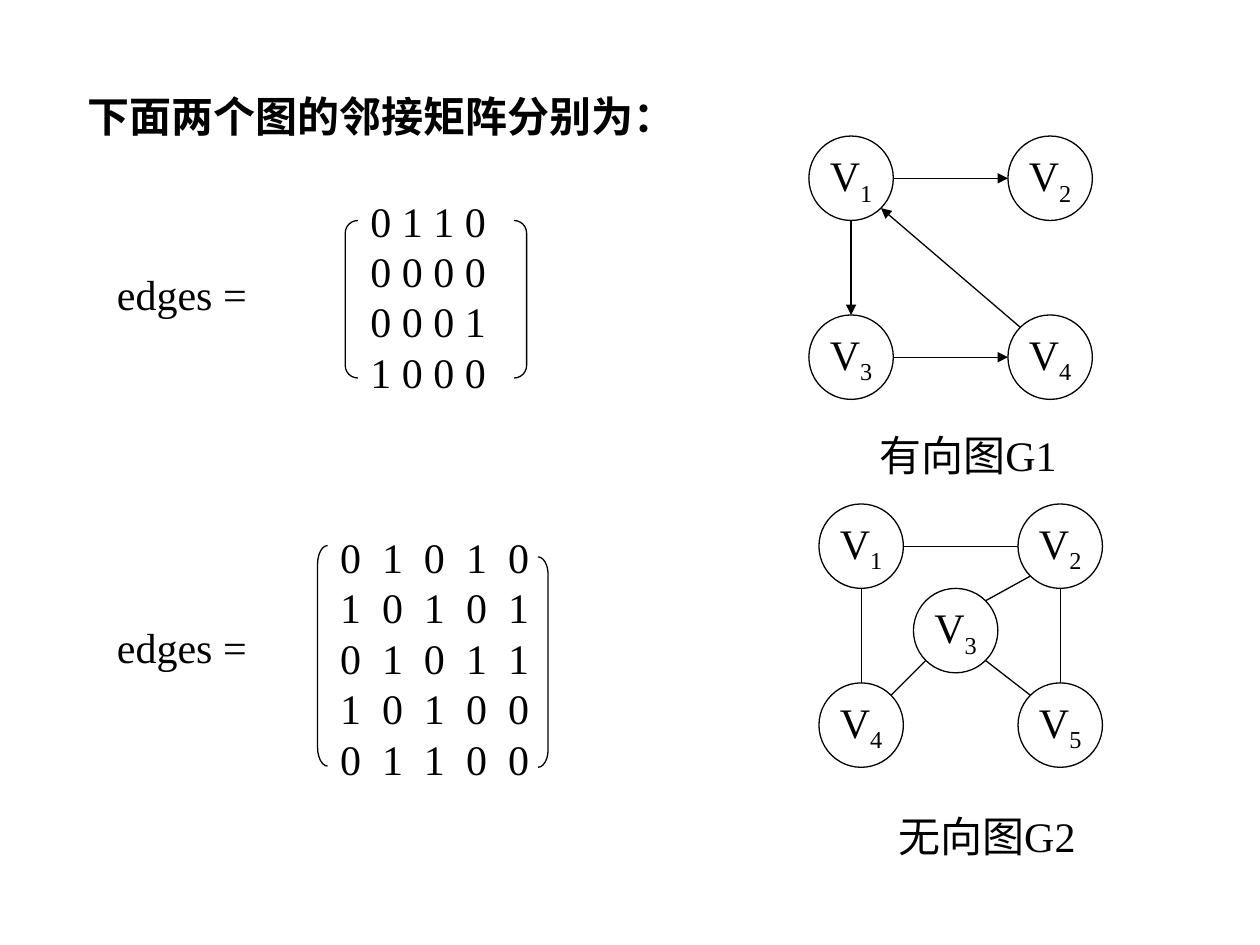
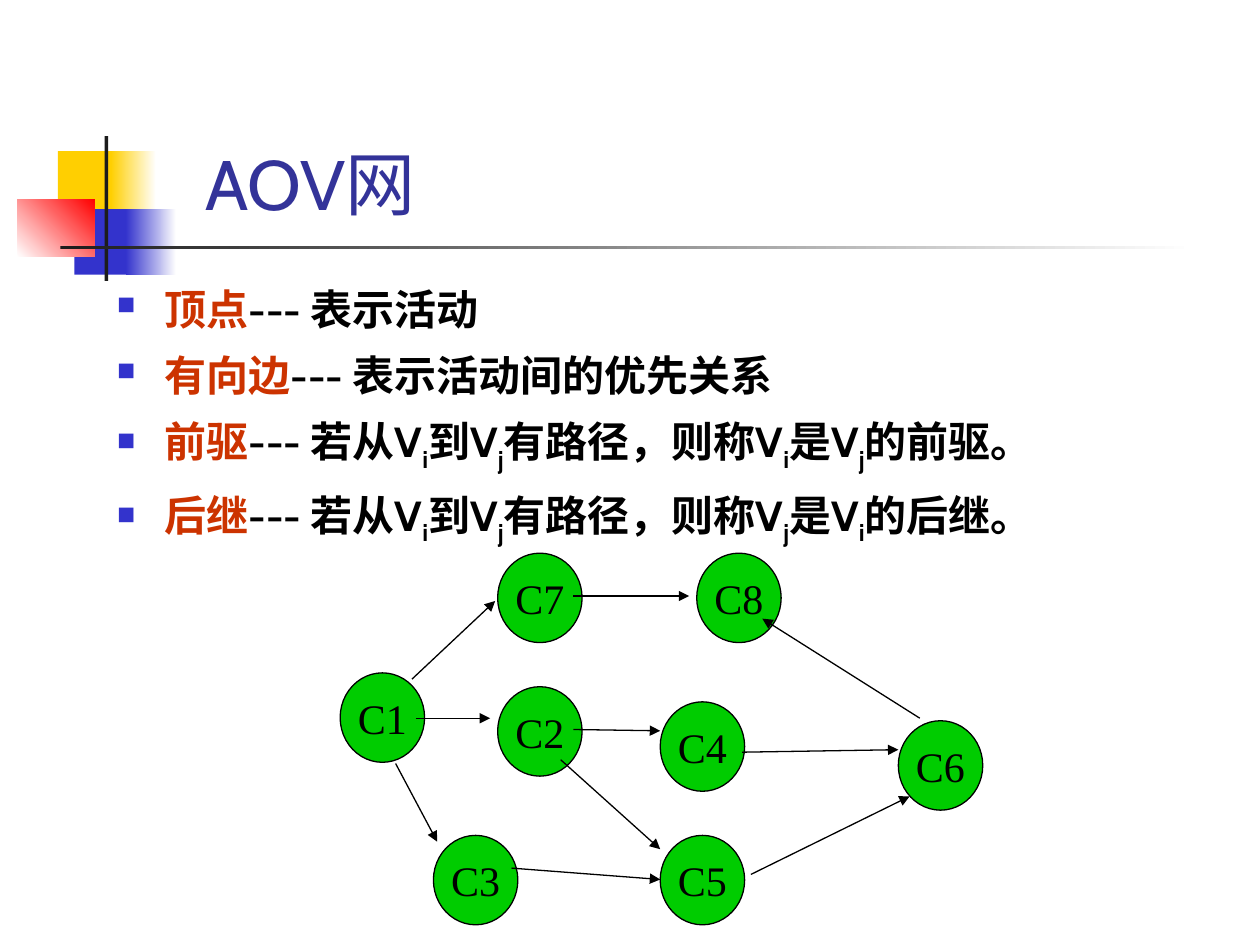
from math import cos, radians, sin

from lxml.etree import SubElement
from pptx import Presentation
from pptx.dml.color import RGBColor
from pptx.enum.shapes import MSO_CONNECTOR as Link, MSO_SHAPE as Kind
from pptx.enum.text import MSO_ANCHOR as Anchor, PP_ALIGN as Align
from pptx.oxml.ns import qn
from pptx.util import Inches, Pt

SERIF, SANS = "Times New Roman", "Cabin"
BLACK, WHITE, DARK = "000000", "FFFFFF", "1C1C1C"
GOLD, BLUE, RED = "FFCF01", "3333CC", "FF0000"
GREEN, RUST, NAVY = "00CC00", "CC3300", "333399"
DISC = 0.67
TALL = 0.71
TURN = {"e": 0, "se": 45, "s": 90, "sw": 135,
        "w": 180, "nw": 225, "n": 270, "ne": 315}

G1 = {"1": (6.42, 1.08), "2": (8, 1.08), "3": (6.42, 2.5), "4": (8, 2.5)}
G1_EDGES = ["1e 2w", "1s 3n", "3e 4w", "4nw 1se"]
G2 = {"1": (6.5, 4), "2": (8.08, 4), "3": (7.25, 4.67),
      "4": (6.5, 5.42), "5": (8.08, 5.42)}
G2_EDGES = ["1e 2w", "1s 4n", "2s 5n", "3se 5nw", "2sw 3ne", "3sw 4ne"]
TASKS = {"C1": (2.7, 5.34), "C7": (3.95, 4.39), "C2": (3.95, 5.45),
         "C3": (3.44, 6.63), "C8": (5.53, 4.39), "C6": (7.13, 5.72),
         "C4": (5.24, 5.57), "C5": (5.24, 6.63)}
STEPS = [
    ((3.27, 5.39), (3.93, 4.77)), ((4.55, 4.73), (5.47, 4.73)),
    ((3.3, 5.7), (3.89, 5.7)), ((4.55, 5.79), (5.24, 5.8)),
    ((5.89, 5.97), (7.13, 5.95)), ((4.45, 6.03), (5.24, 6.74)),
    ((3.14, 6.06), (3.47, 6.68)), ((4.06, 6.89), (5.24, 6.98)),
    ((5.96, 6.94), (7.22, 6.32)), ((7.3, 5.7), (6.05, 4.91)),
]
TERMS = [
    ("顶点", "--- 表示活动"),
    ("有向边", "--- 表示活动间的优先关系"),
    ("前驱", "--- 若从V_i_到V_j_有路径，则称V_i_是V_j_的前驱。"),
    ("后继", "--- 若从V_i_到V_j_有路径，则称V_j_是V_i_的后继。"),
]


def tint(code):
    """Turn a hex string into a colour."""
    return RGBColor.from_string(code)


def write(para, text, color=BLACK, face=SERIF, size=24, bold=False):
    """Add runs to a paragraph; every second part between underscores is low."""
    for i, part in enumerate(text.split("_")):
        run = para.add_run()
        run.text = part
        font = run.font
        font.name, font.size, font.bold = face, Pt(size), bold
        font.color.rgb = tint(color)
        if i % 2:
            run._r.get_or_add_rPr().set("baseline", "-25000")


def add_box(slide, x, y, w, h, wrap=False):
    """Add an empty text box and return its frame."""
    frame = slide.shapes.add_textbox(*map(Inches, (x, y, w, h))).text_frame
    frame.word_wrap = wrap
    return frame


def add_line(frame, i):
    """Return paragraph i of a frame that is filled in order."""
    return frame.add_paragraph() if i else frame.paragraphs[0]


def label(slide, x, y, w, text, bold=False):
    """Add a single line of serif text."""
    write(add_box(slide, x, y, w, 0.5).paragraphs[0], text, bold=bold)


def add_form(slide, kind, x, y, w, h, fill=None, fade=None, angle=0, edge=None):
    """Add a preset shape with a plain, fading or empty fill."""
    form = slide.shapes.add_shape(kind, *map(Inches, (x, y, w, h)))
    form.shadow.inherit = False
    if fade:
        form.fill.gradient()
        form.fill.gradient_angle = angle
        for stop, code, place in zip(form.fill.gradient_stops, (fill, fade), (0, 1)):
            stop.color.rgb = tint(code)
            stop.position = place
    elif fill:
        form.fill.solid()
        form.fill.fore_color.rgb = tint(fill)
    else:
        form.fill.background()
    if edge:
        form.line.color.rgb = tint(edge)
        form.line.width = Pt(0.75)
    else:
        form.line.fill.background()
    return form


def add_node(slide, x, y, text, h=DISC, fill=None):
    """Add a round node with a centred name."""
    form = add_form(slide, Kind.OVAL, x, y, DISC, h, fill, edge=BLACK)
    frame = form.text_frame
    frame.word_wrap = False
    frame.vertical_anchor = Anchor.MIDDLE
    para = frame.paragraphs[0]
    para.alignment = Align.CENTER
    write(para, text)


def add_edge(slide, start, end, arrow=True):
    """Add a thin line, with an arrowhead at its end if wanted."""
    edge = slide.shapes.add_connector(
        Link.STRAIGHT, *map(Inches, (*start, *end)))
    edge.line.color.rgb = tint(BLACK)
    edge.line.width = Pt(0.75)
    if arrow:
        SubElement(edge.line._get_or_add_ln(), qn("a:tailEnd"), type="triangle")
    SubElement(edge._element.spPr, qn("a:effectLst"))


def dock(nodes, spot):
    """Find the point on a node's rim, such as 4nw."""
    x, y = nodes[spot[0]]
    turn = radians(TURN[spot[1:]])
    half = DISC / 2
    return x + half + half * cos(turn), y + half + half * sin(turn)


def add_graph(slide, nodes, edges, arrow):
    """Draw a graph from its node places and edge list."""
    for name, (x, y) in nodes.items():
        add_node(slide, x, y, "V_" + name)
    for edge in edges:
        start, end = (dock(nodes, spot) for spot in edge.split())
        add_edge(slide, start, end, arrow)


def add_matrix(slide, x, y, w, rows, pitch=None):
    """Write digit rows, on tab stops where a pitch is given."""
    frame = add_box(slide, x, y, w, 0.1 + 0.4 * len(rows), wrap=True)
    for i, row in enumerate(rows):
        para = add_line(frame, i)
        if pitch:
            tabs = SubElement(para._p.get_or_add_pPr(), qn("a:tabLst"))
            for n in range(1, len(row)):
                SubElement(tabs, qn("a:tab"), pos=str(Inches(n * pitch)), algn="l")
        write(para, ("\t" if pitch else " ").join(row))


def add_bracket(slide, kind, x, y, w, h, bend):
    """Add one matrix bracket with corners of the given height."""
    form = add_form(slide, kind, x, y, w, h, edge=BLACK)
    form.adjustments[0] = bend / w


def add_bullet(para):
    """Give a paragraph a hanging blue square."""
    props = para._p.get_or_add_pPr()
    props.set("marL", str(Inches(0.38)))
    props.set("indent", str(-Inches(0.38)))
    SubElement(SubElement(props, qn("a:buClr")), qn("a:srgbClr"), val=BLUE)
    SubElement(props, qn("a:buSzPct"), val="60000")
    SubElement(props, qn("a:buChar"), char="■")


def add_decor(slide):
    """Draw the coloured squares and the two rules beside the title."""
    for spec in [
        (0.46, 1.2, 0.48, 0.52, GOLD),
        (0.88, 1.2, 0.36, 0.52, GOLD, WHITE),
        (0.59, 1.66, 0.46, 0.52, BLUE),
        (1, 1.66, 0.4, 0.52, BLUE, WHITE),
        (0.14, 1.58, 0.61, 0.46, WHITE, RED, 45),
        (0.83, 1.08, 0.03, 1.15, DARK),
        (0.48, 1.95, 9, 0.03, DARK, WHITE),
    ]:
        add_form(slide, Kind.RECTANGLE, *spec)


def add_title(slide, text):
    """Write the slide title above the long rule."""
    frame = add_box(slide, 1.53, 0.91, 7.64, 0.92, wrap=True)
    frame.vertical_anchor = Anchor.BOTTOM
    write(frame.paragraphs[0], text, NAVY, SANS, 40)


def add_terms(slide):
    """List the terms with their meanings."""
    frame = add_box(slide, 0.83, 2.16, 8.5, 2.93, wrap=True)
    for i, (term, gist) in enumerate(TERMS):
        para = add_line(frame, i)
        add_bullet(para)
        para.line_spacing = 1.1
        if i:
            para.space_before = Pt(6)
        write(para, term, RUST, SANS, bold=True)
        write(para, gist, BLACK, SANS, bold=True)


def matrix_slide(slide):
    """Show two graphs beside their adjacency matrices."""
    add_graph(slide, G2, G2_EDGES, arrow=False)
    label(slide, 7.03, 6.38, 1.69, "无向图G2")
    add_graph(slide, G1, G1_EDGES, arrow=True)
    label(slide, 6.88, 3.36, 1.69, "有向图G1")
    add_matrix(slide, 2.6, 4.17, 1.75,
               ["01010", "10101", "01011", "10100", "01100"], pitch=1 / 3)
    add_bracket(slide, Kind.LEFT_BRACKET, 2.52, 4.33, 0.08, 1.75, 0.15)
    add_bracket(slide, Kind.RIGHT_BRACKET, 4.27, 4.42, 0.08, 1.67, 0.14)
    add_matrix(slide, 2.84, 1.5, 1.38, ["0110", "0000", "0001", "1000"])
    add_bracket(slide, Kind.LEFT_BRACKET, 2.74, 1.75, 0.1, 1.25, 0.1)
    add_bracket(slide, Kind.RIGHT_BRACKET, 4.08, 1.75, 0.1, 1.25, 0.1)
    for y in (2.08, 4.88):
        label(slide, 0.83, y, 1.23, "edges =")
    label(slide, 0.6, 0.67, 4.86, "下面两个图的邻接矩阵分别为：", bold=True)


def network_slide(slide):
    """Show the activity network and its terms."""
    add_decor(slide)
    add_title(slide, "AOV网")
    add_terms(slide)
    for name, (x, y) in TASKS.items():
        add_node(slide, x, y, name, TALL, GREEN)
    for start, end in STEPS:
        add_edge(slide, start, end)


def main():
    """Build and save both slides."""
    deck = Presentation()
    deck.slide_width, deck.slide_height = Inches(10), Inches(7.5)
    for build in (matrix_slide, network_slide):
        build(deck.slides.add_slide(deck.slide_layouts[6]))
    deck.save("out.pptx")


if __name__ == "__main__":
    main()
